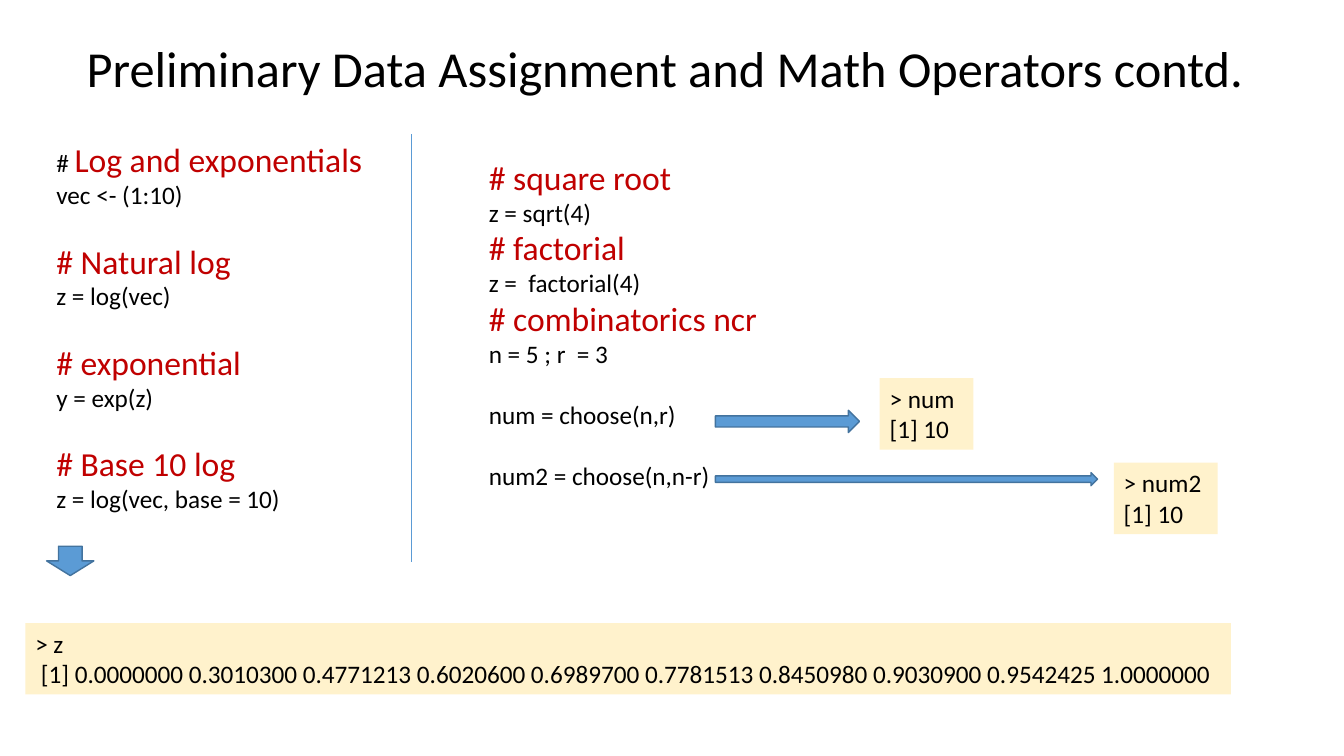
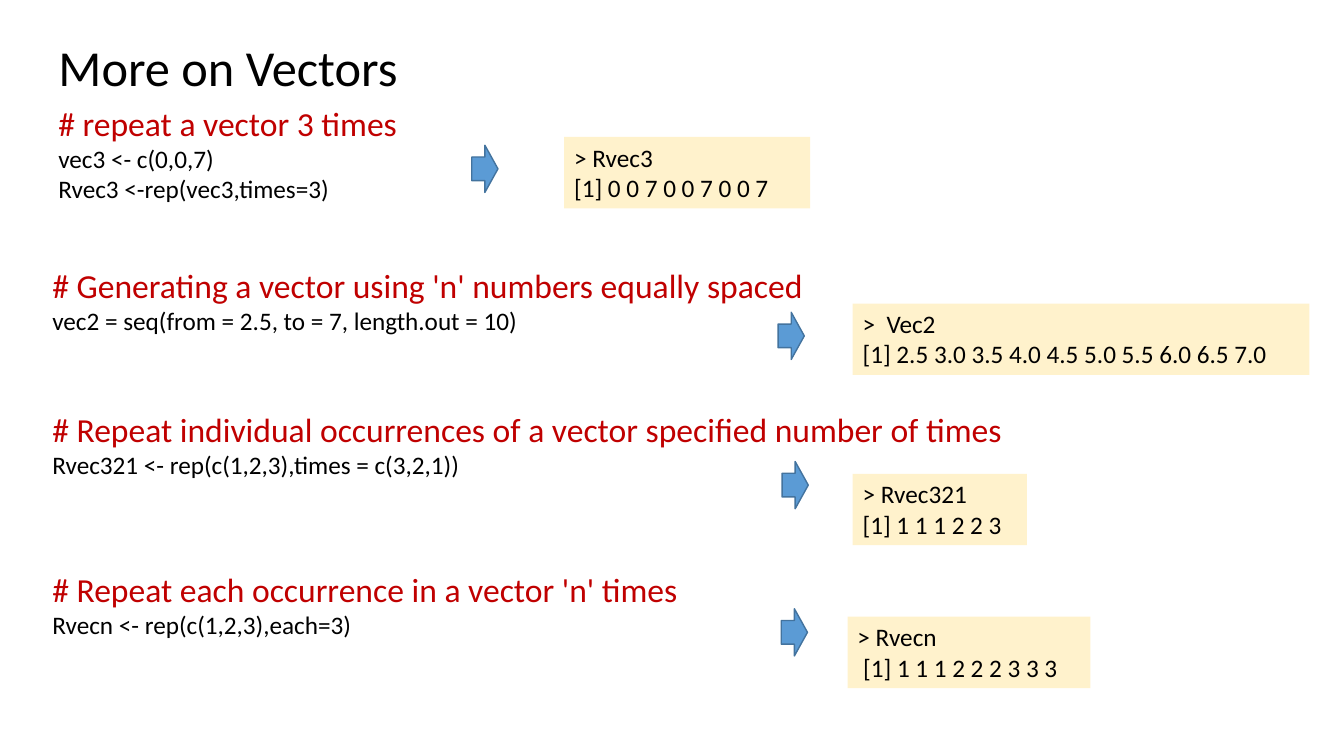
"""Build two slides on R operators and vectors, with code, arrows and console output."""
import dataclasses
import typing

import lxml.etree
import pptx
import pptx.dml.color
import pptx.enum.shapes
import pptx.enum.text
import pptx.oxml.ns
import pptx.shapes.autoshape
import pptx.slide
import pptx.util

Cm = pptx.util.Cm
Pt = pptx.util.Pt

FONT = "Calibri"
BLACK, RED = "000000", "C00000"
CREAM, BLUE, DARK_BLUE = "FFF2CC", "5B9BD5", "43739E"
CODE_SIZE, HEADING_SIZE, TITLE_SIZE = 18, 24, 36
BLANK_LINE = 22
OUTPUT_HEIGHT, TITLE_HEIGHT = 1.8, 1.91
TITLE_ONLY = 5

FRAME_FORMAT = {
    "word_wrap": True,
    "auto_size": pptx.enum.text.MSO_AUTO_SIZE.NONE,
    "vertical_anchor": pptx.enum.text.MSO_ANCHOR.TOP,
}
TITLE_FRAME_FORMAT = FRAME_FORMAT | {"vertical_anchor": pptx.enum.text.MSO_ANCHOR.MIDDLE}
PARA_FORMAT = {"alignment": pptx.enum.text.PP_ALIGN.LEFT, "line_spacing": 1.0}
TITLE_PARA_FORMAT = PARA_FORMAT | {"line_spacing": 0.9}


class Area(typing.NamedTuple):
    """Left, top, width and height in centimetres."""
    left: float
    top: float
    width: float
    height: float


@dataclasses.dataclass(frozen=True)
class Span:
    """Text in one size and colour."""
    text: str
    size: int = CODE_SIZE
    colour: str = BLACK


@dataclasses.dataclass(frozen=True)
class Para:
    """Spans on one line, with the space above in points."""
    spans: tuple[Span, ...]
    gap: int = 0


@dataclasses.dataclass(frozen=True)
class Code:
    """A block of headings and code."""
    area: Area
    paras: tuple[Para, ...]


@dataclasses.dataclass(frozen=True)
class Output:
    """A shaded box of console output."""
    left: float
    top: float
    width: float
    lines: tuple[str, str]


@dataclasses.dataclass(frozen=True)
class Arrow:
    """A block arrow from code to output."""
    area: Area
    rotation: int = 0


@dataclasses.dataclass(frozen=True)
class Divider:
    """A vertical line between columns."""
    left: float
    top: float
    bottom: float


Item = Code | Output | Arrow | Divider


@dataclasses.dataclass(frozen=True)
class Page:
    """A title with the items below it."""
    title: str
    title_area: Area
    items: tuple[Item, ...]


def heading(text: str, gap: int = 0) -> Para:
    """Return a red heading line."""
    return Para((Span(text, HEADING_SIZE, RED),), gap)


def code(text: str, gap: int = 0) -> Para:
    """Return a black code line."""
    return Para((Span(text),), gap)


def small_arrow(left: float, top: float) -> Arrow:
    """Return the short arrow used beside each vector example."""
    return Arrow(Area(left, top, 0.66, 1.19))


def colour_of(value: str) -> pptx.dml.color.RGBColor:
    """Return the colour of a hex string."""
    return pptx.dml.color.RGBColor.from_string(value)


def apply(target: typing.Any, values: dict[str, typing.Any]) -> None:
    """Set each named attribute on the target."""
    for name, value in values.items():
        setattr(target, name, value)


def lengths(area: Area) -> list[pptx.util.Length]:
    """Return the area as slide lengths."""
    return [Cm(value) for value in area]


def write(frame: typing.Any, paras: tuple[Para, ...], frame_format: dict = FRAME_FORMAT,
          para_format: dict = PARA_FORMAT) -> None:
    """Fill a text frame with formatted paragraphs."""
    apply(frame, frame_format)
    for index, line in enumerate(paras):
        para = frame.add_paragraph() if index else frame.paragraphs[0]
        apply(para, para_format | {"space_before": Pt(line.gap), "space_after": Pt(0)})
        for span in line.spans:
            run = para.add_run()
            run.text = span.text
            apply(run.font, {"name": FONT, "size": Pt(span.size), "bold": False})
            run.font.color.rgb = colour_of(span.colour)


def draw_title(slide: pptx.slide.Slide, page: Page) -> None:
    """Move and fill the title placeholder."""
    title = slide.shapes.title
    apply(title, dict(zip(Area._fields, lengths(page.title_area))))
    write(title.text_frame, (Para((Span(page.title, TITLE_SIZE),)),),
          TITLE_FRAME_FORMAT, TITLE_PARA_FORMAT)


def draw_code(slide: pptx.slide.Slide, item: Code) -> None:
    """Draw a block of code."""
    write(slide.shapes.add_textbox(*lengths(item.area)).text_frame, item.paras)


def draw_output(slide: pptx.slide.Slide, item: Output) -> None:
    """Draw a shaded output box."""
    area = Area(item.left, item.top, item.width, OUTPUT_HEIGHT)
    box = slide.shapes.add_textbox(*lengths(area))
    box.fill.solid()
    box.fill.fore_color.rgb = colour_of(CREAM)
    write(box.text_frame, tuple(code(line) for line in item.lines))


def draw_arrow(slide: pptx.slide.Slide, item: Arrow) -> None:
    """Draw a block arrow."""
    arrow = slide.shapes.add_shape(
        pptx.enum.shapes.MSO_SHAPE.RIGHT_ARROW, *lengths(item.area))
    arrow.rotation = item.rotation
    arrow.shadow.inherit = False
    arrow.fill.solid()
    arrow.fill.fore_color.rgb = colour_of(BLUE)
    arrow.line.color.rgb = colour_of(DARK_BLUE)
    arrow.line.width = Pt(1)


def draw_divider(slide: pptx.slide.Slide, item: Divider) -> None:
    """Draw a thin vertical line."""
    line = slide.shapes.add_connector(
        pptx.enum.shapes.MSO_CONNECTOR.STRAIGHT,
        Cm(item.left), Cm(item.top), Cm(item.left), Cm(item.bottom))
    line.line.color.rgb = colour_of(BLUE)
    line.line.width = Pt(0.5)
    properties = line.element.find(pptx.oxml.ns.qn("p:spPr"))
    lxml.etree.SubElement(properties, pptx.oxml.ns.qn("a:effectLst"))


DRAWERS: dict[type, typing.Callable] = {
    Code: draw_code,
    Output: draw_output,
    Arrow: draw_arrow,
    Divider: draw_divider,
}

OPERATORS = Page(
    "Preliminary Data Assignment and Math Operators contd.",
    Area(1.93, 0.84, 29.85, TITLE_HEIGHT),
    (
        Code(Area(1.17, 3.38, 9.19, 9.75), (
            Para((Span("# "), Span("Log and exponentials", HEADING_SIZE, RED))),
            code("vec <- (1:10)"),
            heading("# Natural log", BLANK_LINE),
            code("z = log(vec)"),
            heading("# exponential", BLANK_LINE),
            code("y = exp(z)"),
            heading("# Base 10 log", BLANK_LINE),
            code("z = log(vec, base = 10)"),
        )),
        Output(0.64, 15.7, 30.38, (
            "> z",
            " [1] 0.0000000 0.3010300 0.4771213 0.6020600 0.6989700 "
            "0.7781513 0.8450980 0.9030900 0.9542425 1.0000000",
        )),
        Arrow(Area(1.4, 13.54, 0.74, 1.19), 90),
        Code(Area(12.07, 3.82, 13.46, 8.71), (
            heading("# square root"),
            code("z = sqrt(4)"),
            heading("# factorial"),
            code("z =  factorial(4)"),
            heading("# combinatorics ncr"),
            code("n = 5 ; r  = 3"),
            code("num = choose(n,r)", BLANK_LINE),
            code("num2 = choose(n,n-r)", BLANK_LINE),
        )),
        Divider(10.36, 3.38, 14.17),
        Arrow(Area(18.03, 10.34, 3.63, 0.56)),
        Output(22.17, 9.53, 2.36, ("> num", "[1] 10")),
        Arrow(Area(18.03, 11.91, 9.63, 0.33)),
        Output(28.07, 11.66, 2.62, ("> num2", "[1] 10")),
    ),
)

VECTORS = Page(
    "More on Vectors",
    Area(1.22, 0.81, 23.29, TITLE_HEIGHT),
    (
        Code(Area(1.22, 2.46, 26.01, 2.82), (
            heading("# repeat a vector 3 times"),
            code("vec3 <- c(0,0,7)"),
            code("Rvec3 <-rep(vec3,times=3)"),
        )),
        Output(14.22, 3.45, 6.2, ("> Rvec3", "[1] 0 0 7 0 0 7 0 0 7")),
        small_arrow(11.89, 3.66),
        Code(Area(1.07, 6.55, 20.29, 2.06), (
            heading("# Generating a vector using 'n' numbers equally spaced"),
            code("vec2 = seq(from = 2.5, to = 7, length.out = 10)"),
        )),
        Output(21.49, 7.65, 11.51, (
            ">  Vec2", "[1] 2.5 3.0 3.5 4.0 4.5 5.0 5.5 6.0 6.5 7.0")),
        small_arrow(19.61, 7.87),
        Code(Area(1.07, 10.19, 24.46, 2.06), (
            heading("# Repeat individual occurrences of a vector specified number of times"),
            code("Rvec321 <- rep(c(1,2,3),times = c(3,2,1))"),
        )),
        small_arrow(19.71, 11.63),
        Output(21.49, 11.94, 4.39, ("> Rvec321", "[1] 1 1 1 2 2 3")),
        Code(Area(1.07, 14.22, 16.94, 2.06), (
            heading("# Repeat each occurrence in a vector 'n' times"),
            code("Rvecn <- rep(c(1,2,3),each=3)"),
        )),
        small_arrow(19.69, 15.34),
        Output(21.36, 15.54, 6.12, ("> Rvecn", " [1] 1 1 1 2 2 2 3 3 3")),
    ),
)

deck = pptx.Presentation()
apply(deck, {"slide_width": Cm(33.87), "slide_height": Cm(19.05)})
for page in (OPERATORS, VECTORS):
    slide = deck.slides.add_slide(deck.slide_layouts[TITLE_ONLY])
    draw_title(slide, page)
    for item in page.items:
        DRAWERS[type(item)](slide, item)
deck.save("out.pptx")
